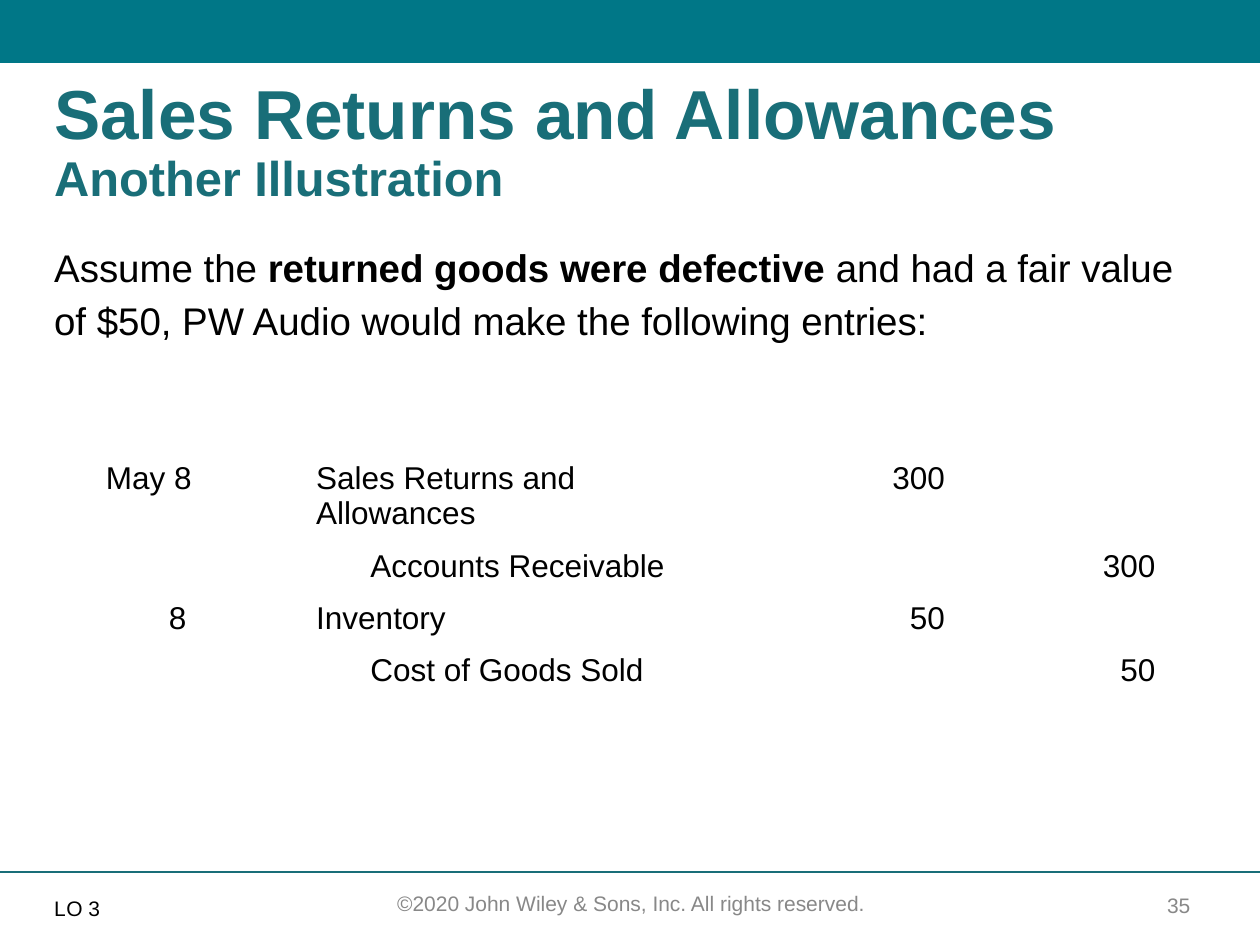
from dataclasses import dataclass

import pptx
import pptx.dml.color
import pptx.enum.shapes
import pptx.enum.text
import pptx.oxml
import pptx.oxml.ns
import pptx.util
from lxml import etree
from pptx.util import Inches

ALIGN = pptx.enum.text.PP_ALIGN
ANCHOR = pptx.enum.text.MSO_ANCHOR
FONT = "Arial"
BAND = "007787"
TEAL = "196E78"
BLACK = "000000"
GREY = "888888"


@dataclass
class Piece:
    text: str
    size: float
    color: str = BLACK
    bold: bool = False


@dataclass
class Entry:
    text: str
    row: int
    column: int
    indent: float = 0
    align: ALIGN = ALIGN.LEFT


@dataclass
class FooterNote:
    piece: Piece
    box: tuple[float, float, float, float]
    anchor: ANCHOR


def rgb(value: str) -> pptx.dml.color.RGBColor:
    return pptx.dml.color.RGBColor.from_string(value)


def style_run(run, piece: Piece) -> None:
    run.font.name = FONT
    run.font.size = pptx.util.Pt(piece.size)
    run.font.bold = piece.bold
    run.font.color.rgb = rgb(piece.color)


def write_pieces(paragraph, pieces: list[Piece]) -> None:
    for piece in pieces:
        run = paragraph.add_run()
        run.text = piece.text
        style_run(run, piece)


def place(holder, box: tuple[float, float, float, float], spacing: float):
    holder.left, holder.top, holder.width, holder.height = map(Inches, box)
    frame = holder.text_frame
    frame.auto_size = pptx.enum.text.MSO_AUTO_SIZE.NONE
    frame.vertical_anchor = ANCHOR.TOP
    paragraph = frame.paragraphs[0]
    paragraph.alignment = ALIGN.LEFT
    paragraph.line_spacing = spacing
    paragraph.space_before = pptx.util.Pt(0)
    return paragraph


def fill_body(holder, box: tuple[float, float, float, float], spacing: float, pieces: list[Piece]) -> None:
    paragraph = place(holder, box, spacing)
    properties = paragraph._p.get_or_add_pPr()
    properties.set("marL", "0")
    properties.set("indent", "0")
    etree.SubElement(properties, pptx.oxml.ns.qn("a:buNone"))
    write_pieces(paragraph, pieces)


def fill_title(title, box: tuple[float, float, float, float], pieces: list[Piece]) -> None:
    title.text_frame.text = "\v".join(piece.text for piece in pieces)
    paragraph = place(title, box, 0.9)
    for run, piece in zip(paragraph.runs, pieces):
        style_run(run, piece)
    line_break = paragraph._p.find(pptx.oxml.ns.qn("a:br"))
    break_style = etree.SubElement(line_break, pptx.oxml.ns.qn("a:rPr"))
    break_style.set("sz", str(round(pieces[0].size * 100)))


def add_frame(slide) -> None:
    band = slide.shapes.add_shape(
        pptx.enum.shapes.MSO_SHAPE.RECTANGLE, 0, 0, Inches(10), Inches(0.5))
    band.shadow.inherit = False
    band.fill.solid()
    band.fill.fore_color.rgb = rgb(BAND)
    band.line.fill.background()

    footer_rule = slide.shapes.add_connector(
        pptx.enum.shapes.MSO_CONNECTOR.STRAIGHT, 0, Inches(6.92), Inches(10), Inches(6.92))
    footer_rule.line.color.rgb = rgb(TEAL)
    footer_rule.line.width = pptx.util.Pt(1)
    etree.SubElement(footer_rule._element.spPr, pptx.oxml.ns.qn("a:effectLst"))


def add_footer_note(slide, note: FooterNote) -> None:
    frame = slide.shapes.add_textbox(*map(Inches, note.box)).text_frame
    frame.word_wrap = True
    frame.vertical_anchor = note.anchor
    paragraph = frame.paragraphs[0]
    paragraph.alignment = ALIGN.CENTER
    write_pieces(paragraph, [note.piece])


def add_journal(slide, entries: list[Entry]) -> None:
    widths = [1.67, 3.52, 1.67, 1.67]
    row_height = 0.41
    row_count = 4
    journal = slide.shapes.add_table(
        row_count, len(widths), Inches(0.74), Inches(3.61),
        Inches(sum(widths)), Inches(row_height * row_count)).table
    journal.first_row = False
    journal.horz_banding = False
    for column, width in zip(journal.columns, widths):
        column.width = Inches(width)
    for cell in journal.iter_cells():
        cell.fill.background()
    for entry in entries:
        paragraph = journal.cell(entry.row, entry.column).text_frame.paragraphs[0]
        paragraph.alignment = entry.align
        if entry.indent:
            paragraph._p.get_or_add_pPr().set("indent", str(Inches(entry.indent)))
        write_pieces(paragraph, [Piece(entry.text, 18)])


def main() -> None:
    deck = pptx.Presentation()
    deck.slide_width = Inches(10)
    deck.slide_height = Inches(7.5)
    slide = deck.slides.add_slide(deck.slide_layouts.get_by_name("Two Content"))
    title, assumption, objective = slide.placeholders

    add_frame(slide)
    for note in [
        FooterNote(Piece("©2020 John Wiley & Sons, Inc. All rights reserved.", 12, GREY),
                   (3.04, 7.02, 3.94, 0.3), ANCHOR.TOP),
        FooterNote(Piece("35", 12, GREY), (9.05, 7.04, 0.61, 0.28), ANCHOR.MIDDLE),
    ]:
        add_footer_note(slide, note)

    fill_title(title, (0.33, 0.58, 9.25, 1), [
        Piece("Sales Returns and Allowances", 39.6, TEAL, True),
        Piece("Another Illustration", 27.9, TEAL, True),
    ])
    fill_body(assumption, (0.33, 1.83, 9.17, 1), 1.15, [
        Piece("Assume the ", 22),
        Piece("returned goods were defective ", 22, bold=True),
        Piece("and had a fair value of $50, PW Audio would make the following entries:", 22),
    ])
    add_journal(slide, [
        Entry("May 8", 0, 0),
        Entry("Sales Returns and Allowances", 0, 1),
        Entry("300", 0, 2, align=ALIGN.RIGHT),
        Entry("Accounts Receivable", 1, 1, indent=0.43),
        Entry("300", 1, 3, align=ALIGN.RIGHT),
        Entry("8", 2, 0, indent=0.5),
        Entry("Inventory", 2, 1),
        Entry("50", 2, 2, align=ALIGN.RIGHT),
        Entry("Cost of Goods Sold", 3, 1, indent=0.43),
        Entry("50", 3, 3, align=ALIGN.RIGHT),
    ])
    fill_body(objective, (0.33, 7.08, 0.67, 0.33), 0.9, [
        Piece("L", 12), Piece(" ", 1), Piece("O 3", 12),
    ])
    deck.save("out.pptx")


if __name__ == "__main__":
    main()
